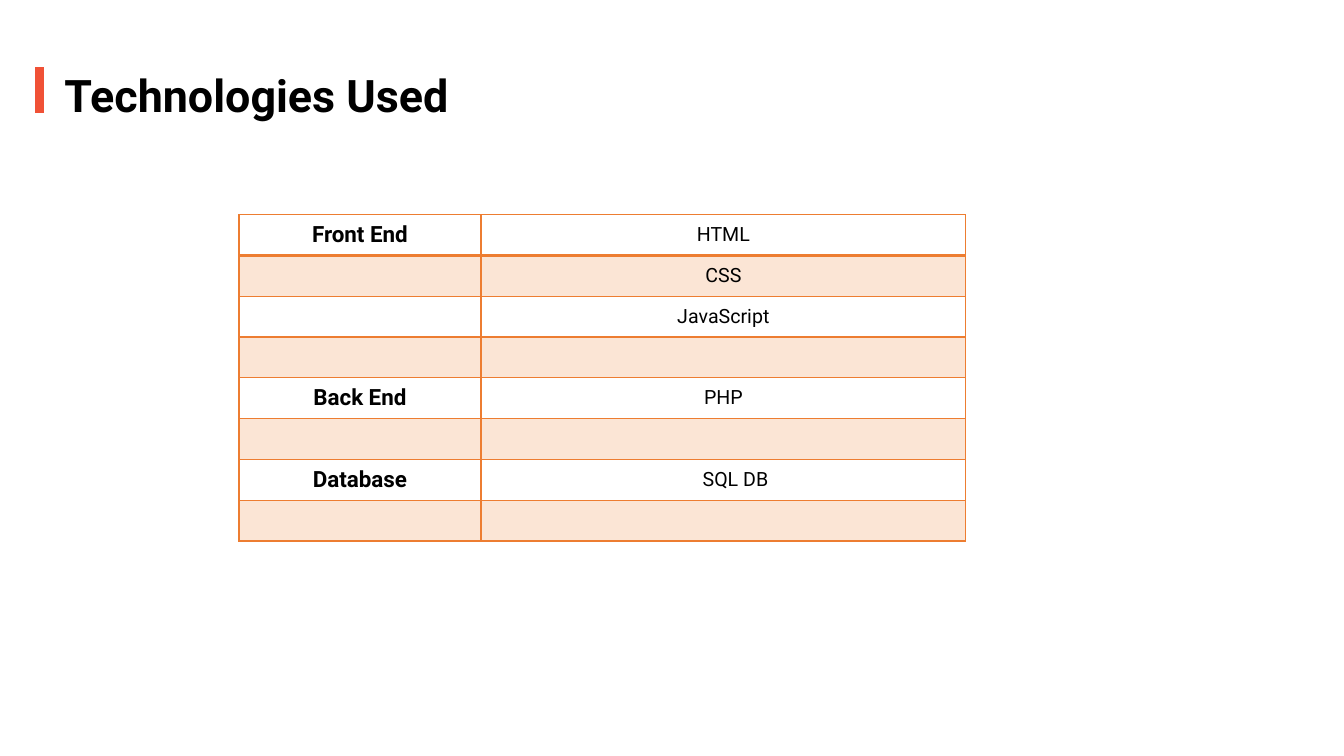
from dataclasses import dataclass

from lxml import etree
from pptx import Presentation
from pptx.dml.color import RGBColor
from pptx.enum.shapes import MSO_SHAPE
from pptx.enum.text import MSO_ANCHOR, MSO_AUTO_SIZE, PP_ALIGN
from pptx.oxml import parse_xml
from pptx.oxml.ns import nsdecls, qn
from pptx.util import Inches, Pt


@dataclass(frozen=True)
class Theme:
    """Colours, font and type sizes of the slide."""
    font: str = "Roboto"
    ink: str = "000000"
    paper: str = "FFFFFF"
    accent: str = "F05136"
    grid: str = "ED7D31"
    band_alpha: int = 20
    title: int = 32
    area: int = 16
    technology: int = 14


THEME = Theme()

TECHNOLOGIES = [
    ("Front End", "HTML"),
    ("", "CSS"),
    ("", "JavaScript"),
    ("", ""),
    ("Back End", "PHP"),
    ("", ""),
    ("Database", "SQL DB"),
    ("", ""),
]
DATABASE_ROW = 6


def add_text(paragraph, text, size, bold):
    """Add a run in the theme font to a paragraph."""
    run = paragraph.add_run()
    run.text = text
    run.font.name = THEME.font
    run.font.size = Pt(size)
    run.font.bold = bold
    run.font.color.rgb = RGBColor.from_string(THEME.ink)


def add_heading(slide, text):
    """Add the accent bar and the slide title beside it."""
    bar = slide.shapes.add_shape(
        MSO_SHAPE.RECTANGLE, Inches(0.34), Inches(0.66), Inches(0.1), Inches(0.47))
    bar.shadow.inherit = False
    bar.fill.solid()
    bar.fill.fore_color.rgb = RGBColor.from_string(THEME.accent)
    bar.line.color.rgb = RGBColor.from_string(THEME.paper)
    bar.line.width = Pt(1)

    box = slide.shapes.add_textbox(Inches(0.54), Inches(0.62), Inches(4.27), Inches(0.64))
    box.text_frame.word_wrap = False
    box.text_frame.auto_size = MSO_AUTO_SIZE.SHAPE_TO_FIT_TEXT
    add_text(box.text_frame.paragraphs[0], text, THEME.title, True)


def set_borders(cell, widths):
    """Draw the cell borders, given as a side-to-points mapping."""
    properties = cell._tc.get_or_add_tcPr()
    for index, side in enumerate("LRTB"):
        properties.insert(index, parse_xml(
            f'<a:ln{side} {nsdecls("a")} w="{Pt(widths[side])}"><a:solidFill>'
            f'<a:srgbClr val="{THEME.grid}"/></a:solidFill></a:ln{side}>'))


def fill_cell(cell, banded):
    """Tint a banded cell and leave any other one clear."""
    if not banded:
        cell.fill.background()
        return
    cell.fill.solid()
    cell.fill.fore_color.rgb = RGBColor.from_string(THEME.grid)
    colour = cell._tc.tcPr.find(f'{qn("a:solidFill")}/{qn("a:srgbClr")}')
    etree.SubElement(colour, qn("a:alpha"), val=str(THEME.band_alpha * 1000))


def add_technology_table(slide, rows):
    """Add the two-column table of areas and technologies."""
    table = slide.shapes.add_table(
        len(rows), 2, Inches(2.37), Inches(2.13), Inches(7.21), Inches(3.24)).table
    table.columns[0].width = Inches(2.4)
    table.columns[1].width = Inches(4.81)
    for row_index, texts in enumerate(rows):
        for column, text in enumerate(texts):
            cell = table.cell(row_index, column)
            cell.vertical_anchor = MSO_ANCHOR.MIDDLE
            cell.margin_top = cell.margin_bottom = Inches(0.03)
            fill_cell(cell, row_index % 2 == 1)
            set_borders(cell, {
                "L": 1, "R": 1,
                "T": 2 if row_index == 1 else 1,
                "B": 2 if row_index == 0 else 1})
            paragraph = cell.text_frame.paragraphs[0]
            paragraph.alignment = PP_ALIGN.CENTER
            if text:
                is_area = column == 0
                add_text(paragraph, text, THEME.area if is_area else THEME.technology, is_area)
    table.cell(DATABASE_ROW, 1).margin_left = Inches(0.34)


def main():
    """Build the slide and save it."""
    deck = Presentation()
    deck.slide_width = Inches(13.33)
    deck.slide_height = Inches(7.5)
    slide = deck.slides.add_slide(deck.slide_layouts[6])
    add_heading(slide, "Technologies Used")
    add_technology_table(slide, TECHNOLOGIES)
    deck.save("out.pptx")


main()
